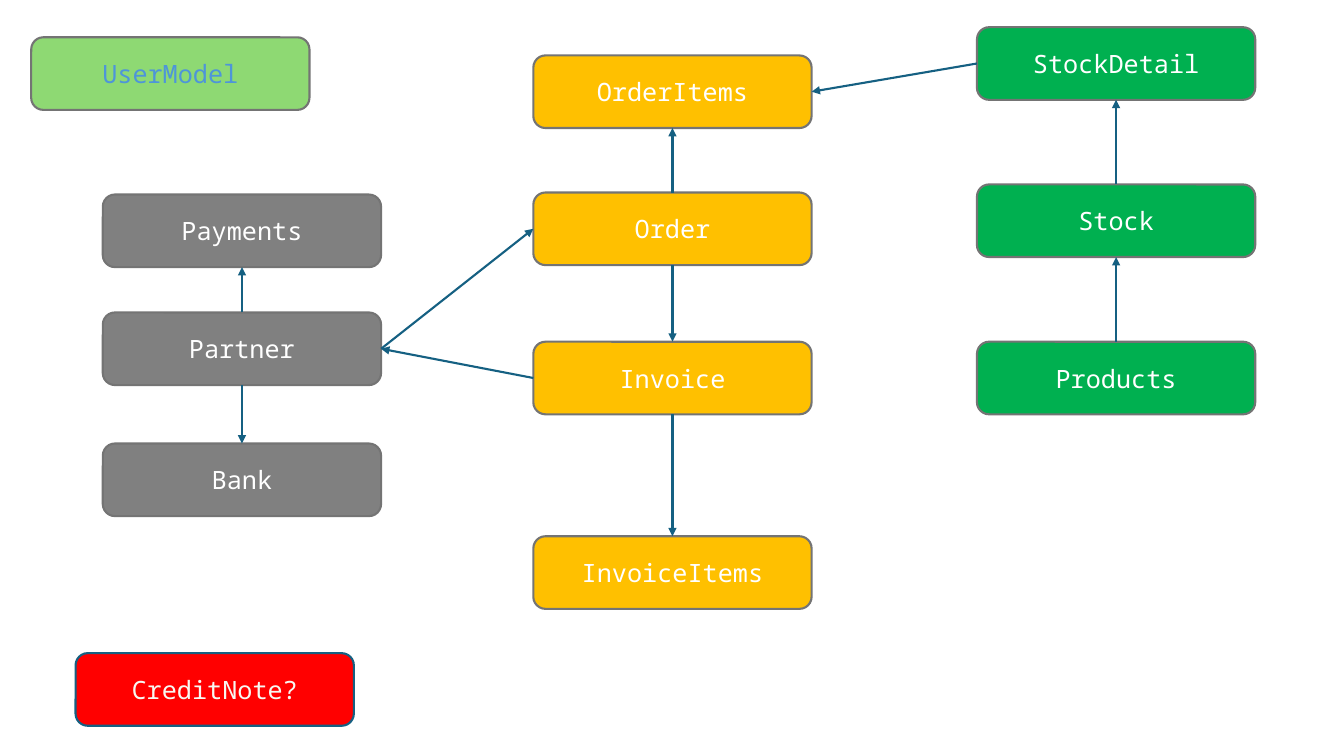
"""Draws the data model of an order system as boxes joined by arrows."""
from dataclasses import dataclass

from lxml import etree
from pptx import Presentation
from pptx import util as u
from pptx.dml.color import RGBColor
from pptx.enum import shapes, text
from pptx.oxml.ns import qn

TOP, LEFT, BOTTOM, RIGHT = range(4)


@dataclass(frozen=True)
class Theme:
    """Holds the colours, font and sizes of the diagram."""
    font: str = "Noto Sans Mono"
    size: int = 18
    line_width: float = 1.5
    user: str = "8ED973"
    user_text: str = "4E95D9"
    partner: str = "808080"
    order: str = "FFC000"
    stock: str = "00B050"
    credit: str = "FF0000"
    credit_text: str = "F8F8F2"
    white: str = "FFFFFF"
    border: str = "747474"
    accent: str = "156082"


class Diagram:
    """Draws boxes and arrows on one page in one theme."""
    box_width, box_height = 2.76, 0.72

    def __init__(self, page, theme):
        """Keeps the page and the theme and starts with no boxes."""
        self.page, self.theme, self.boxes = page, theme, {}

    def style_line(self, line, color):
        """Sets the colour and width of a line."""
        line.color.rgb = RGBColor.from_string(color)
        line.width = u.Pt(self.theme.line_width)

    def box(self, name, left, top, fill, color=None, border=None):
        """Adds a rounded box with a centred name."""
        box = self.page.shapes.add_shape(
            shapes.MSO_SHAPE.ROUNDED_RECTANGLE, u.Inches(left), u.Inches(top),
            u.Inches(self.box_width), u.Inches(self.box_height))
        box.shadow.inherit = False
        box.fill.solid()
        box.fill.fore_color.rgb = RGBColor.from_string(fill)
        self.style_line(box.line, border or self.theme.border)
        frame = box.text_frame
        frame.word_wrap = True
        frame.vertical_anchor = text.MSO_ANCHOR.MIDDLE
        para = frame.paragraphs[0]
        para.alignment = text.PP_ALIGN.CENTER
        span = para.add_run()
        span.text = name
        span.font.name = self.theme.font
        span.font.size = u.Pt(self.theme.size)
        span.font.color.rgb = RGBColor.from_string(color or self.theme.white)
        self.boxes[name] = box

    def arrow(self, source, source_side, target, target_side):
        """Joins two boxes with an arrow that points at the target."""
        arrow = self.page.shapes.add_connector(
            shapes.MSO_CONNECTOR.STRAIGHT, 0, 0, 0, 0)
        arrow.begin_connect(self.boxes[source], source_side)
        arrow.end_connect(self.boxes[target], target_side)
        self.style_line(arrow.line, self.theme.accent)
        properties = arrow._element.spPr
        outline = properties.find(qn("a:ln"))
        etree.SubElement(outline, qn("a:tailEnd"), type="triangle")
        etree.SubElement(properties, qn("a:effectLst"))


def main():
    """Builds the page and saves the deck."""
    deck = Presentation()
    deck.slide_width, deck.slide_height = u.Inches(13.33), u.Inches(7.5)
    theme = Theme()
    diagram = Diagram(deck.slides.add_slide(deck.slide_layouts[6]), theme)

    diagram.box("UserModel", 0.31, 0.37, theme.user, theme.user_text)
    diagram.box("CreditNote?", 0.75, 6.48, theme.credit, theme.credit_text,
                theme.accent)
    columns = [
        (1.02, theme.partner,
         {"Payments": 1.93, "Partner": 3.1, "Bank": 4.4}),
        (5.29, theme.order,
         {"OrderItems": 0.55, "Order": 1.91, "Invoice": 3.39,
          "InvoiceItems": 5.32}),
        (9.69, theme.stock,
         {"StockDetail": 0.27, "Stock": 1.83, "Products": 3.39}),
    ]
    for left, fill, tops in columns:
        for name, top in tops.items():
            diagram.box(name, left, top, fill)

    for source, target in [("Partner", "Payments"), ("Order", "OrderItems"),
                           ("Products", "Stock"), ("Stock", "StockDetail")]:
        diagram.arrow(source, TOP, target, BOTTOM)
    for source, target in [("Partner", "Bank"), ("Order", "Invoice"),
                           ("Invoice", "InvoiceItems")]:
        diagram.arrow(source, BOTTOM, target, TOP)
    diagram.arrow("Partner", RIGHT, "Order", LEFT)
    for source, target in [("Invoice", "Partner"),
                           ("StockDetail", "OrderItems")]:
        diagram.arrow(source, LEFT, target, RIGHT)

    deck.save("out.pptx")


if __name__ == "__main__":
    main()
